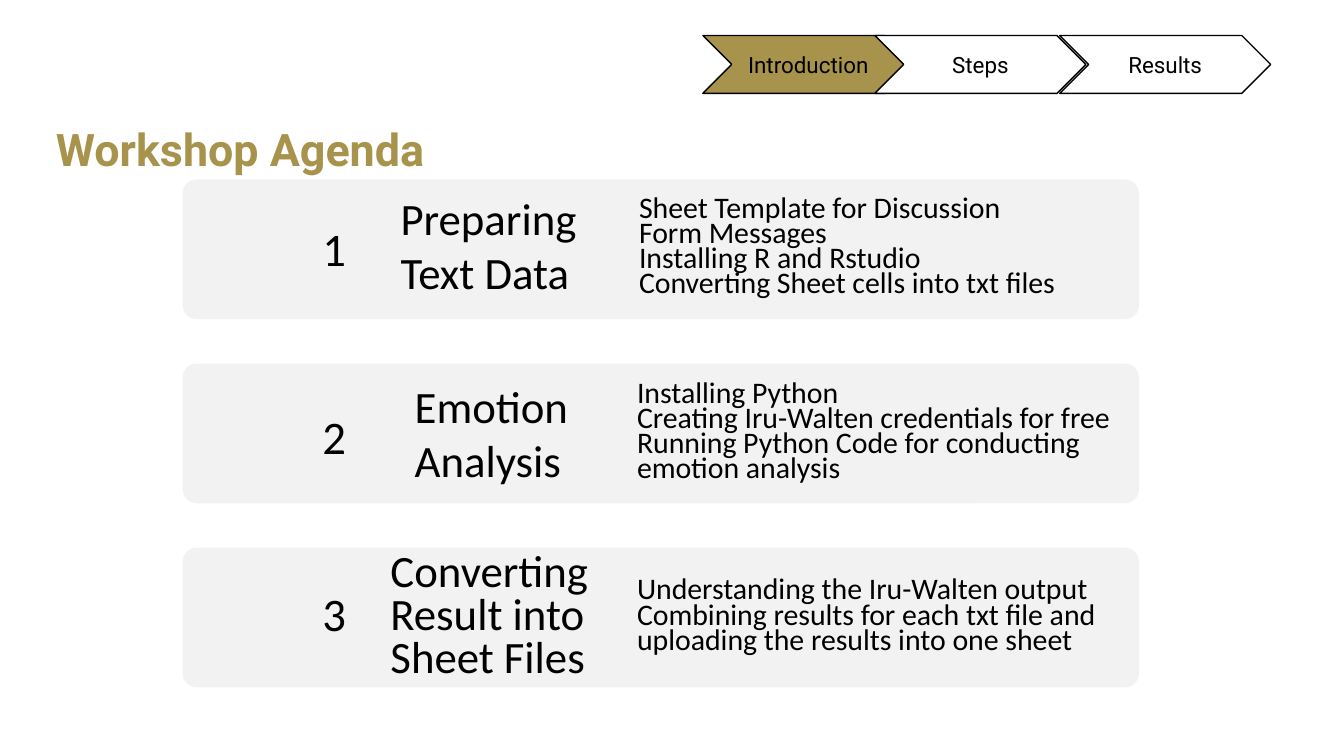
import pptx
import pptx.util
import pptx.dml.color
import pptx.enum.shapes
import pptx.enum.text

PX = 4572
GOLD = pptx.dml.color.RGBColor(0xA7, 0x93, 0x4B)
GREY = pptx.dml.color.RGBColor(0xF2, 0xF2, 0xF2)
WHITE = pptx.dml.color.RGBColor(0xFF, 0xFF, 0xFF)
BLACK = pptx.dml.color.RGBColor(0, 0, 0)
KINDS = pptx.enum.shapes.MSO_SHAPE
ALIGN = pptx.enum.text.PP_ALIGN
ANCHOR = pptx.enum.text.MSO_ANCHOR
SIZE = pptx.enum.text.MSO_AUTO_SIZE

STEPS = [("Introduction", 1046, GOLD), ("Steps", 1302, WHITE), ("Results", 1577, WHITE)]
ROWS = [
    {"head": "Preparing Text Data", "hbox": (558, 260, 384, 208), "gap": None,
     "list": ["Sheet Template for Discussion Form Messages",
              "Installing R and Rstudio",
              "Converting Sheet cells into txt files"],
     "lbox": (913, 266, 706, 208), "num": 307},
    {"head": "Emotion Analysis", "hbox": (579, 540, 384, 208), "gap": None,
     "list": ["Installing Python",
              "Creating Iru-Walten credentials for free",
              "Running Python Code for conducting emotion analysis"],
     "lbox": (910, 541, 852, 208), "num": 587},
    {"head": "Converting Result into Sheet Files", "hbox": (543, 815, 384, 208), "gap": 0.8,
     "list": ["Understanding the Iru-Walten output",
              "Combining results for each txt file and uploading the results into one sheet"],
     "lbox": (910, 815, 786, 208), "num": 851},
]


def px(*nums):
    return [pptx.util.Emu(num * PX) for num in nums]


def apply(item, values):
    for name, value in values.items():
        setattr(item, name, value)


def write(shape, lines, size, face="Calibri", color=BLACK, bold=False,
          inset=(20, 20), anchor=ANCHOR.MIDDLE, align=ALIGN.LEFT, gap=None):
    frame = shape.text_frame
    side, edge = px(*inset)
    apply(frame, {"word_wrap": True, "auto_size": SIZE.NONE, "vertical_anchor": anchor,
                  "margin_left": side, "margin_right": side,
                  "margin_top": edge, "margin_bottom": edge})
    frame.text = "\n".join(lines)
    for para in frame.paragraphs:
        apply(para, {"alignment": align, "line_spacing": gap})
        for run in para.runs:
            apply(run.font, {"name": face, "size": pptx.util.Pt(size), "bold": bold})
            run.font.color.rgb = color


def add_title(slide, text):
    title = slide.shapes.title
    apply(title, dict(zip(("left", "top", "width", "height"), px(68, 163, 1864, 125))))
    write(title, [text], 24, "Roboto", GOLD, True, inset=(15, 8), gap=0.9)


def add_shape(slide, kind, box, fill, adjust):
    shape = slide.shapes.add_shape(kind, *px(*box))
    shape.shadow.inherit = False
    shape.adjustments[0] = adjust
    shape.fill.solid()
    shape.fill.fore_color.rgb = fill
    return shape


def add_step(slide, text, left, fill):
    shape = add_shape(slide, KINDS.CHEVRON, (left, 53, 314, 86), fill, 0.5)
    shape.line.color.rgb = BLACK
    shape.line.width = pptx.util.Pt(0.75)
    write(shape, [text], 12, "Roboto", align=ALIGN.CENTER)


def add_text(slide, box, lines, size, **style):
    write(slide.shapes.add_textbox(*px(*box)), lines, size, **style)


def add_row(slide, index, row):
    card = add_shape(slide, KINDS.ROUNDED_RECTANGLE, (272, 267 + 274 * index, 1423, 208), GREY, 0.1)
    card.line.fill.background()
    add_text(slide, row["hbox"], [row["head"]], 24, inset=(38, 38), gap=row["gap"])
    add_text(slide, row["lbox"], row["list"], 16, inset=(38, 38), gap=0.7)
    add_text(slide, (460, row["num"], 68, 114), [str(index + 1)], 25, anchor=ANCHOR.TOP)


def main():
    deck = pptx.Presentation()
    deck.slide_width, deck.slide_height = px(2000, 1125)
    slide = deck.slides.add_slide(deck.slide_layouts[5])
    add_title(slide, "Workshop Agenda")
    for step in STEPS:
        add_step(slide, *step)
    for index, row in enumerate(ROWS):
        add_row(slide, index, row)
    deck.save("out.pptx")


if __name__ == "__main__":
    main()
